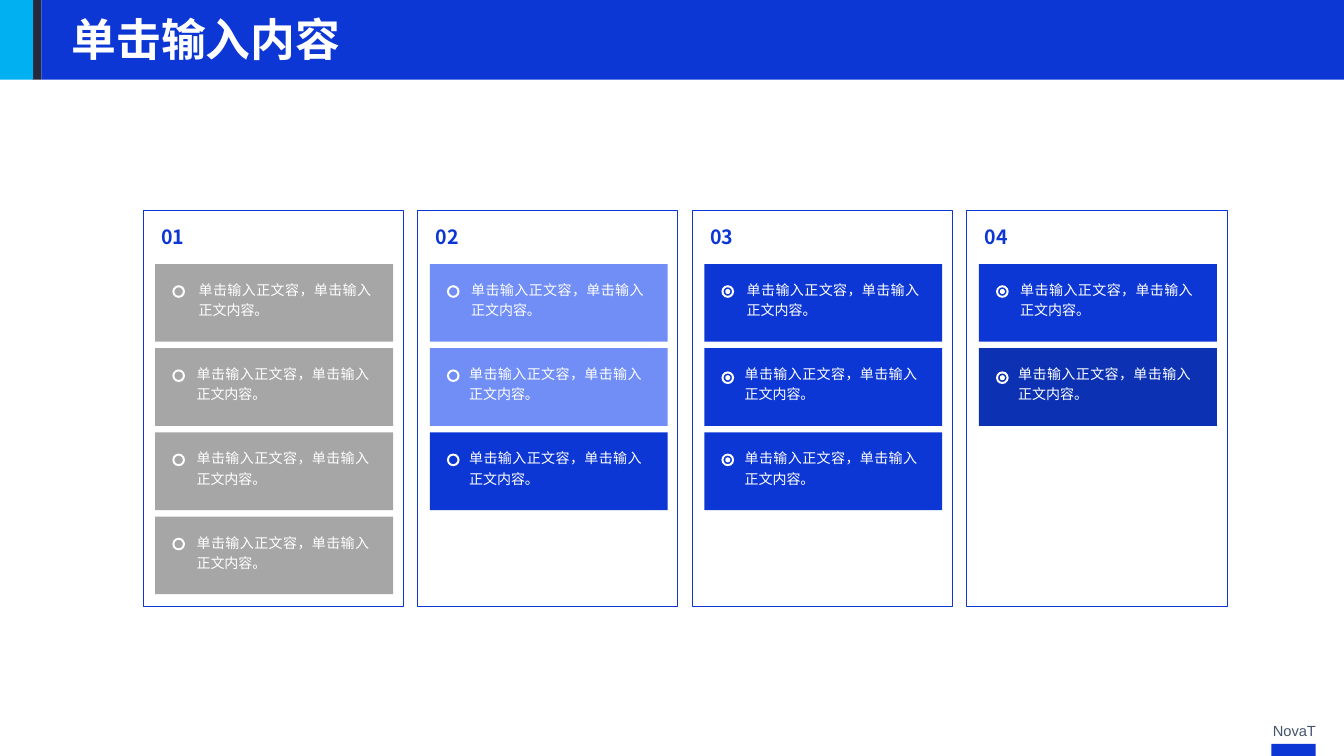
from dataclasses import dataclass

from lxml import etree
from pptx import Presentation
from pptx import util as u
from pptx.dml.color import RGBColor
from pptx.enum import shapes, text
from pptx.oxml import ns
from pptx.shapes.autoshape import Shape
from pptx.slide import Slide

WHITE = RGBColor(0xFF, 0xFF, 0xFF)
BLUE = RGBColor(0x0D, 0x37, 0xD4)
LIGHT_BLUE = RGBColor(0x70, 0x8E, 0xF5)
DARK_BLUE = RGBColor(0x0C, 0x32, 0xB3)
CYAN = RGBColor(0x00, 0xB0, 0xF0)
NAVY = RGBColor(0x26, 0x29, 0x3A)
GRAY = RGBColor(0xA6, 0xA6, 0xA6)
SLATE = RGBColor(0x44, 0x54, 0x6A)

HEADING_FONT = "Noto Sans CJK SC"
FOOTER_FONT = "Arial"
CARD_TEXT = "单击输入正文容，单击输入正文内容。"

COLUMN_LEFT, COLUMN_TOP, COLUMN_PITCH = 1.42, 2.09, 2.723
CARD_TOP, CARD_PITCH = 2.62, 0.835
MARKER_SIZE, RING_WIDTH, DOT_SIZE = 0.125, 0.02, 0.05


@dataclass
class Box:
    left: float
    top: float
    width: float
    height: float

    def lengths(self) -> list[u.Length]:
        return [u.Inches(side) for side in (self.left, self.top, self.width, self.height)]


@dataclass
class TextStyle:
    size: float
    color: RGBColor
    font: str = HEADING_FONT
    bold: bool = False
    align: text.PP_ALIGN = text.PP_ALIGN.LEFT
    line_spacing: float = 1.0
    insets: tuple[float, float, float, float] = (0.1, 0.05, 0.1, 0.05)


@dataclass
class Column:
    """One framed column; text_left is the offset of its card text."""
    number: str
    card_colors: list[RGBColor]
    text_left: float
    selected: bool = False


TITLE_STYLE = TextStyle(32, WHITE, bold=True)
FOOTER_STYLE = TextStyle(10.5, SLATE, FOOTER_FONT, align=text.PP_ALIGN.RIGHT)
NUMBER_STYLE = TextStyle(14, BLUE, bold=True, insets=(0.03, 0.03, 0.03, 0.03))
CARD_STYLE = TextStyle(10, WHITE, align=text.PP_ALIGN.JUSTIFY, line_spacing=1.2,
                       insets=(0, 0.04, 0.24, 0.04))

BARS = [
    (Box(0.32, 0, 0.09, 0.79), NAVY),
    (Box(0, 0, 0.33, 0.79), CYAN),
    (Box(0.41, 0, 12.92, 0.79), BLUE),
    (Box(12.61, 7.38, 0.44, 0.12), BLUE),
]
COLUMNS = [
    Column("01", [GRAY] * 4, 0.53),
    Column("02", [LIGHT_BLUE, LIGHT_BLUE, BLUE], 0.51),
    Column("03", [BLUE] * 3, 0.52, selected=True),
    Column("04", [BLUE, DARK_BLUE], 0.51, selected=True),
]


def add_filled(slide: Slide, kind: shapes.MSO_SHAPE, box: Box, fill: RGBColor) -> Shape:
    shape = slide.shapes.add_shape(kind, *box.lengths())
    shape.shadow.inherit = False
    shape.fill.solid()
    shape.fill.fore_color.rgb = fill
    shape.line.fill.background()
    return shape


def add_panel(slide: Slide, box: Box, fill: RGBColor) -> Shape:
    """Add a rounded rectangle whose corner radius is zero."""
    panel = add_filled(slide, shapes.MSO_SHAPE.ROUNDED_RECTANGLE, box, fill)
    panel.adjustments[0] = 0
    return panel


def add_text(slide: Slide, box: Box, wording: str, style: TextStyle) -> None:
    frame = slide.shapes.add_textbox(*box.lengths()).text_frame
    frame.word_wrap = True
    frame.auto_size = text.MSO_AUTO_SIZE.SHAPE_TO_FIT_TEXT
    (frame.margin_left, frame.margin_top,
     frame.margin_right, frame.margin_bottom) = map(u.Inches, style.insets)
    paragraph = frame.paragraphs[0]
    paragraph.text = wording
    paragraph.alignment = style.align
    paragraph.line_spacing = style.line_spacing
    font = paragraph.font
    font.size = u.Pt(style.size)
    font.bold = style.bold
    font.color.rgb = style.color
    font.name = style.font
    defaults = paragraph._p.pPr.find(ns.qn("a:defRPr"))
    etree.SubElement(defaults, ns.qn("a:ea"), typeface=style.font)


def add_marker(slide: Slide, left: float, top: float, selected: bool) -> None:
    """Add a radio-button ring, with a dot inside when selected."""
    ring = add_filled(slide, shapes.MSO_SHAPE.DONUT,
                      Box(left, top, MARKER_SIZE, MARKER_SIZE), WHITE)
    ring.adjustments[0] = RING_WIDTH / MARKER_SIZE
    if selected:
        inset = (MARKER_SIZE - DOT_SIZE) / 2
        add_filled(slide, shapes.MSO_SHAPE.OVAL,
                   Box(left + inset, top + inset, DOT_SIZE, DOT_SIZE), WHITE)


def add_column(slide: Slide, left: float, column: Column) -> None:
    frame = add_panel(slide, Box(left, COLUMN_TOP, 2.58, 3.93), WHITE)
    frame.line.color.rgb = BLUE
    frame.line.width = u.Pt(0.5)
    add_text(slide, Box(left + 0.15, 2.2, 1.95, 0.29), column.number, NUMBER_STYLE)
    for row, color in enumerate(column.card_colors):
        top = CARD_TOP + row * CARD_PITCH
        add_panel(slide, Box(left + 0.12, top, 2.36, 0.77), color)
        marker_drop = 0.23 if column.selected and row == 1 else 0.21
        add_marker(slide, left + 0.29, top + marker_drop, column.selected)
        first_indent = 0.02 if row == 0 else 0
        add_text(slide, Box(left + column.text_left + first_indent, top + 0.1, 1.95, 0.48),
                 CARD_TEXT, CARD_STYLE)


def main() -> None:
    presentation = Presentation()
    presentation.slide_width = u.Inches(13.33)
    presentation.slide_height = u.Inches(7.5)
    slide = presentation.slides.add_slide(presentation.slide_layouts[6])
    for box, color in BARS:
        add_filled(slide, shapes.MSO_SHAPE.RECTANGLE, box, color)
    add_text(slide, Box(12.26, 7.11, 0.89, 0.28), "NovaT", FOOTER_STYLE)
    add_text(slide, Box(0.61, 0.07, 7.09, 0.64), "单击输入内容", TITLE_STYLE)
    for index, column in enumerate(COLUMNS):
        add_column(slide, COLUMN_LEFT + index * COLUMN_PITCH, column)
    presentation.save("out.pptx")


if __name__ == "__main__":
    main()
